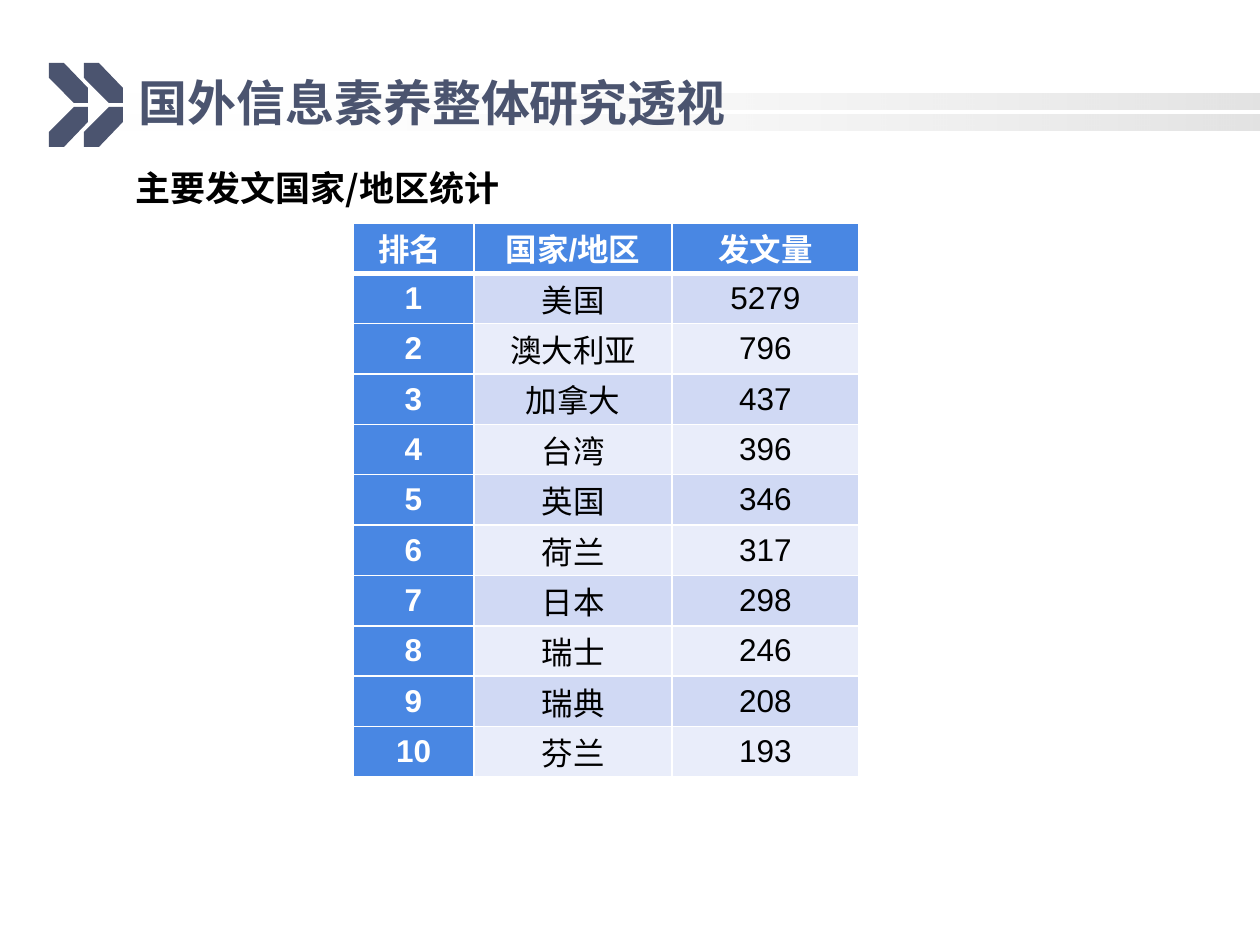
from lxml.etree import SubElement
from pptx import Presentation
from pptx.dml.color import RGBColor
from pptx.enum.shapes import MSO_SHAPE
from pptx.enum.text import MSO_ANCHOR, MSO_AUTO_SIZE, PP_ALIGN
from pptx.oxml.ns import qn
from pptx.util import Emu, Pt

EMU_PER_PX = 914400 / 126
WHITE = RGBColor(0xFF, 0xFF, 0xFF)
BLACK = RGBColor(0x00, 0x00, 0x00)
GRAY = RGBColor(0x96, 0x96, 0x96)
SLATE = RGBColor(0x4B, 0x54, 0x6F)
BLUE = RGBColor(0x49, 0x87, 0xE3)
BAND_DARK = RGBColor(0xD0, 0xD9, 0xF4)
BAND_LIGHT = RGBColor(0xE9, 0xED, 0xFA)
LATIN_FONT = "Arial"
CHINESE_FONT = "Noto Sans CJK SC"

HEADERS = ["排名 ", "国家/地区", "发文量"]
COUNTRIES = [
    ("美国", 5279), ("澳大利亚", 796), ("加拿大", 437), ("台湾", 396),
    ("英国", 346), ("荷兰", 317), ("日本", 298), ("瑞士", 246),
    ("瑞典", 208), ("芬兰", 193),
]
COLUMN_WIDTHS = [121, 198, 187]
CHEVRON_ARM = [(0, 0), (0, 15), (25, 40), (39, 40), (39, 25), (15, 0)]


def px(length):
    """Turn pixels into EMU."""
    return Emu(round(length * EMU_PER_PX))


def add_run(paragraph, text, size, color, bold=True, font_name=LATIN_FONT):
    """Add one formatted run to a paragraph."""
    run = paragraph.add_run()
    run.text = text
    font = run.font
    font.name, font.size, font.bold = font_name, Pt(size), bold
    font.color.rgb = color
    SubElement(font._element, qn("a:ea"), typeface=CHINESE_FONT)


def add_stripes(slide, left, top, width, height):
    """Draw two stripes that fade in from the left."""
    group = slide.shapes.add_group_shape()
    stripe_height = height * 9 // 20
    for stripe_top in (top, top + height - stripe_height):
        stripe = group.shapes.add_shape(
            MSO_SHAPE.RECTANGLE, px(left), px(stripe_top), px(width), px(stripe_height))
        stripe.shadow.inherit = False
        stripe.line.fill.background()
        stripe.fill.gradient()
        stripe.fill.gradient_angle = 0
        for stop, color in zip(stripe.fill.gradient_stops, (WHITE, GRAY)):
            stop.color.rgb = color
        for element, alpha in zip(stripe.element.iter(qn("a:srgbClr")), (0, 27)):
            SubElement(element, qn("a:alpha"), val=str(alpha * 1000))


def add_chevrons(slide, left, top, height):
    """Draw two chevrons, each made of an arm and its mirror image."""
    group = slide.shapes.add_group_shape()
    for arm_left in (left, left + 35):
        for arm_top, direction in ((top, 1), (top + height, -1)):
            points = [(arm_left + x, arm_top + direction * y) for x, y in CHEVRON_ARM]
            builder = group.shapes.build_freeform(*points[0], scale=EMU_PER_PX)
            builder.add_line_segments(points[1:], close=True)
            arm = builder.convert_to_shape()
            arm.shadow.inherit = False
            arm.fill.solid()
            arm.fill.fore_color.rgb = SLATE
            arm.line.fill.background()


def place_title(slide, left, top, width, height):
    """Put the title placeholder in its box, in front of the stripes."""
    title = slide.shapes.title
    title.left, title.top, title.width, title.height = map(px, (left, top, width, height))
    title.element.getparent().append(title.element)
    frame = title.text_frame
    frame.auto_size = MSO_AUTO_SIZE.NONE
    frame.vertical_anchor = MSO_ANCHOR.MIDDLE
    paragraph = frame.paragraphs[0]
    paragraph.alignment = PP_ALIGN.LEFT
    add_run(paragraph, "国外信息素养整体研究透视", 28, SLATE)


def add_subtitle(slide, left, top, width, height):
    """Add the heading above the table."""
    box = slide.shapes.add_textbox(*map(px, (left, top, width, height)))
    frame = box.text_frame
    frame.word_wrap = True
    frame.auto_size = MSO_AUTO_SIZE.SHAPE_TO_FIT_TEXT
    add_run(frame.paragraphs[0], "主要发文国家/地区统计", 20, BLACK, font_name=CHINESE_FONT)


def set_borders(cell, top_width, bottom_width):
    """Give a cell white borders, ahead of its fill."""
    properties = cell._tc.get_or_add_tcPr()
    widths = {"a:lnL": 1, "a:lnR": 1, "a:lnT": top_width, "a:lnB": bottom_width}
    for index, (tag, width) in enumerate(widths.items()):
        line = SubElement(properties, qn(tag), w=str(Pt(width)))
        fill = SubElement(line, qn("a:solidFill"))
        SubElement(fill, qn("a:srgbClr"), val=str(WHITE))
        properties.insert(index, line)


def fill_cell(cell, text, row, column):
    """Write and format one cell according to its row and column."""
    is_header = row == 0 or column == 0
    band = BAND_DARK if row % 2 else BAND_LIGHT
    cell.fill.solid()
    cell.fill.fore_color.rgb = BLUE if is_header else band
    cell.vertical_anchor = MSO_ANCHOR.MIDDLE
    cell.margin_left = cell.margin_right = px(9)
    cell.margin_top = cell.margin_bottom = 0
    paragraph = cell.text_frame.paragraphs[0]
    paragraph.alignment = PP_ALIGN.CENTER
    add_run(paragraph, text, 18, WHITE if is_header else BLACK, bold=is_header)
    set_borders(cell, 3 if row == 1 else 1, 3 if row == 0 else 1)


def add_country_table(slide, left, top, height):
    """Add the ranking table with equal row heights."""
    rows = [HEADERS] + [
        (str(rank), country, str(count))
        for rank, (country, count) in enumerate(COUNTRIES, start=1)]
    table = slide.shapes.add_table(
        len(rows), len(HEADERS), px(left), px(top), px(sum(COLUMN_WIDTHS)), px(height)).table
    for column, width in zip(table.columns, COLUMN_WIDTHS):
        column.width = px(width)
    for row, texts in enumerate(rows):
        for column, text in enumerate(texts):
            fill_cell(table.cell(row, column), text, row, column)


def main():
    """Build the slide and save it."""
    presentation = Presentation()
    presentation.slide_width, presentation.slide_height = px(1260), px(945)
    slide = presentation.slides.add_slide(presentation.slide_layouts[5])
    add_stripes(slide, 94, 94, 1166, 37)
    add_chevrons(slide, 49, 63, 84)
    place_title(slide, 126, 63, 1040, 78)
    add_subtitle(slide, 123, 160, 566, 55)
    add_country_table(slide, 353, 223, 554)
    presentation.save("out.pptx")


if __name__ == "__main__":
    main()
